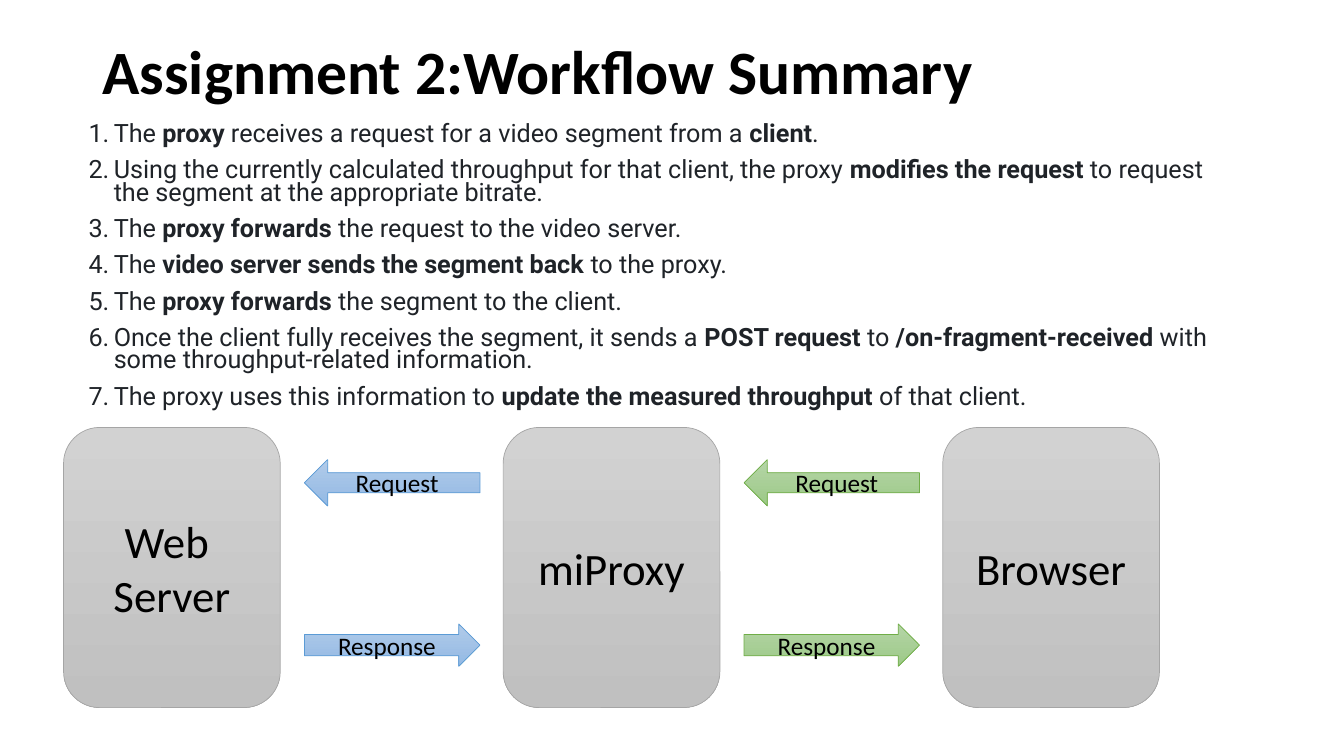
from lxml import etree
from pptx import Presentation
from pptx import util as u
from pptx.dml.color import RGBColor
from pptx.enum import shapes, text
from pptx.oxml.ns import qn

BLACK = RGBColor(0x00, 0x00, 0x00)
INK = RGBColor(0x1F, 0x23, 0x28)
GRAY = [RGBColor(0xD2, 0xD2, 0xD2), RGBColor(0xC0, 0xC0, 0xC0), RGBColor(0xA5, 0xA5, 0xA5)]
BLUE = [RGBColor(0xB1, 0xCB, 0xE9), RGBColor(0x93, 0xB9, 0xE4), RGBColor(0x5B, 0x9B, 0xD5)]
GREEN = [RGBColor(0xB5, 0xD5, 0xA7), RGBColor(0x9C, 0xC9, 0x87), RGBColor(0x70, 0xAD, 0x47)]

prs = Presentation()
prs.slide_width, prs.slide_height = u.Inches(13.33), u.Inches(7.5)
s = prs.slides.add_slide(prs.slide_layouts[6])


def write(tf, lines, para, font):
    tf.word_wrap = True
    for i, line in enumerate(lines):
        p = tf.paragraphs[0] if i == 0 else tf.add_paragraph()
        for key, value in para.items():
            if i or key != "space_before":
                setattr(p, key, value)
        for j, part in enumerate(line.split("**")):
            if part:
                r = p.add_run()
                r.text = part
                r.font.bold = j % 2 == 1
                for key, value in font.items():
                    if key == "color":
                        r.font.color.rgb = value
                    else:
                        setattr(r.font, key, value)


def block(kind, box, lines, size, colors):
    sp = s.shapes.add_shape(kind, *[u.Inches(v) for v in box])
    sp.shadow.inherit = False
    sp.fill.gradient()
    sp.fill.gradient_angle = 270
    for stop, color in zip(sp.fill.gradient_stops, colors):
        stop.color.rgb = color
    sp.line.color.rgb = colors[2]
    sp.line.width = u.Pt(0.5)
    sp.text_frame.vertical_anchor = text.MSO_ANCHOR.MIDDLE
    write(sp.text_frame, lines, {"alignment": text.PP_ALIGN.CENTER},
          {"name": "Calibri", "size": u.Pt(size), "color": BLACK})
    return sp


title = s.shapes.add_textbox(*[u.Inches(v) for v in (0.92, 0.01, 11.5, 1.45)])
title.text_frame.vertical_anchor = text.MSO_ANCHOR.MIDDLE
write(title.text_frame, ["**Assignment 2:Workflow Summary**"], {"line_spacing": 0.9},
      {"name": "Calibri", "size": u.Pt(44), "color": BLACK})

steps = [
    "The **proxy** receives a request for a video segment from a **client**.",
    "Using the currently calculated throughput for that client, the proxy "
    "**modifies the request **to request the segment at the appropriate bitrate.",
    "The **proxy forwards **the request to the video server.",
    "The **video server sends the segment back **to the proxy.",
    "The **proxy forwards **the segment to the client.",
    "Once the client fully receives the segment, it sends a **POST request **"
    "to **/on-fragment-received **with some throughput-related information.",
    "The proxy uses this information to **update the measured throughput **of that client.",
]
body = s.shapes.add_textbox(*[u.Inches(v) for v in (0.78, 1.19, 11.38, 3.12)])
write(body.text_frame, steps, {"line_spacing": u.Pt(16), "space_before": u.Pt(10)},
      {"name": "Roboto", "size": u.Pt(18), "color": INK})
for p in body.text_frame.paragraphs:
    pPr = p._p.get_or_add_pPr()
    pPr.set("marL", str(u.Inches(0.25)))
    pPr.set("indent", str(-u.Inches(0.25)))
    etree.SubElement(pPr, qn("a:buAutoNum"), type="arabicPeriod")

LEFT, PITCH, GAP = 0.63, 4.36, 2.39
for col, lines in enumerate([["Web ", "Server"], ["miProxy"], ["Browser"]]):
    block(shapes.MSO_SHAPE.ROUNDED_RECTANGLE, (LEFT + col * PITCH, 4.24, 2.15, 2.78),
          lines, 32, GRAY)

for col, colors in enumerate([BLUE, GREEN]):
    x = LEFT + GAP + col * PITCH
    block(shapes.MSO_SHAPE.RIGHT_ARROW, (x, 6.19, 1.74, 0.42), ["Response"], 18, colors)
    request = block(shapes.MSO_SHAPE.LEFT_ARROW, (x, 4.56, 1.74, 0.46), ["Request"], 18, colors)
    request.adjustments[0] = 0.43

prs.save("out.pptx")
